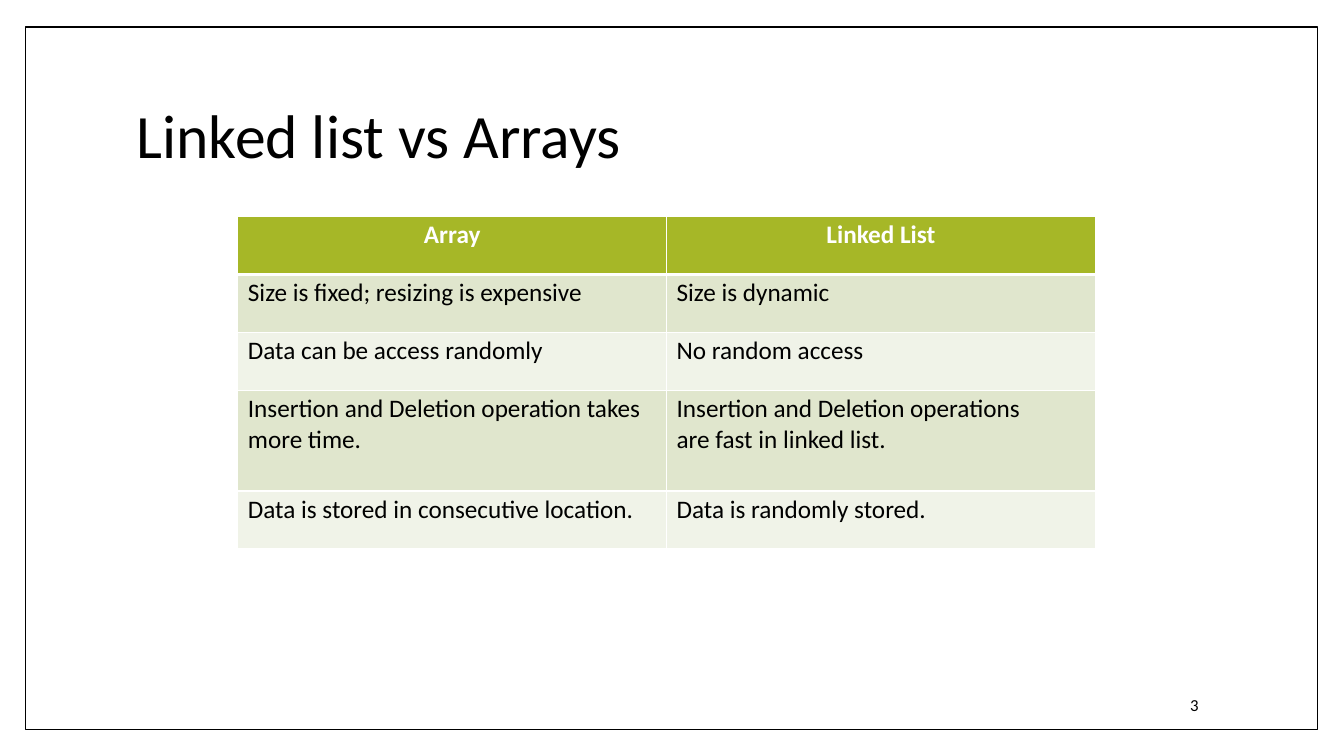
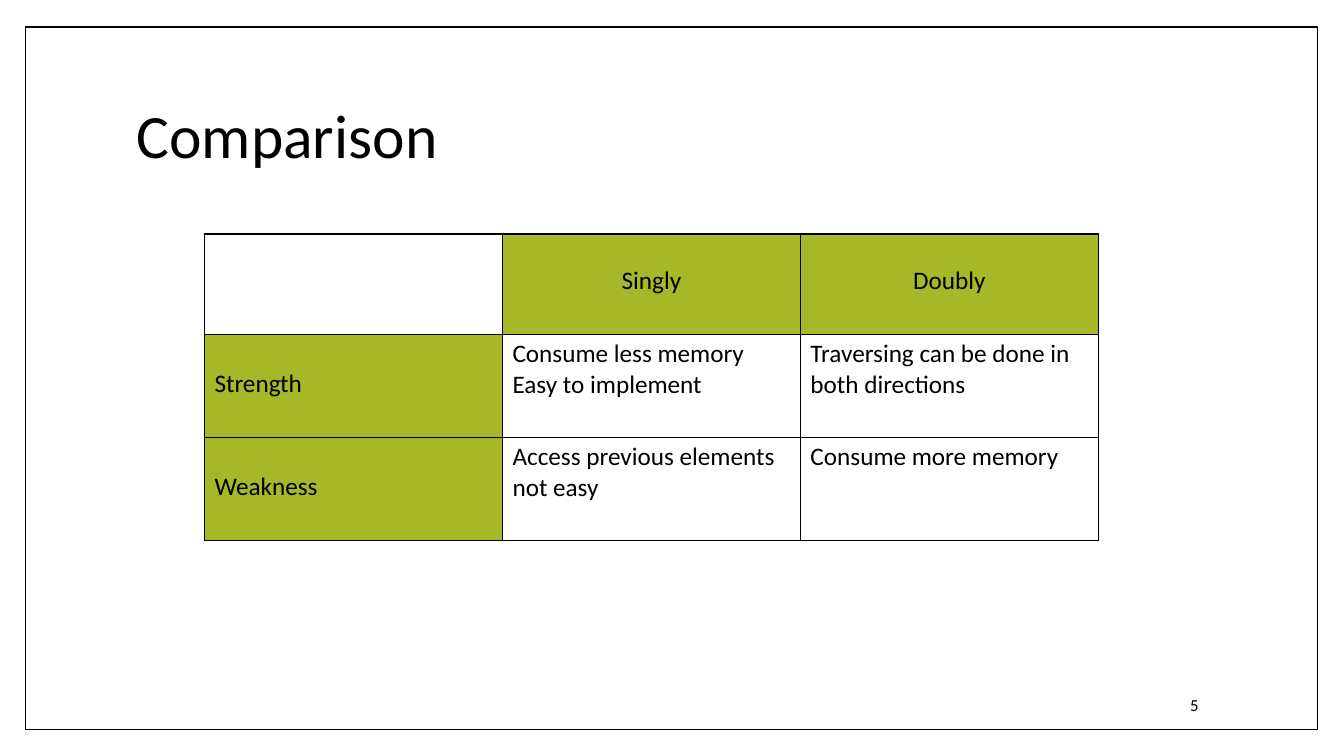
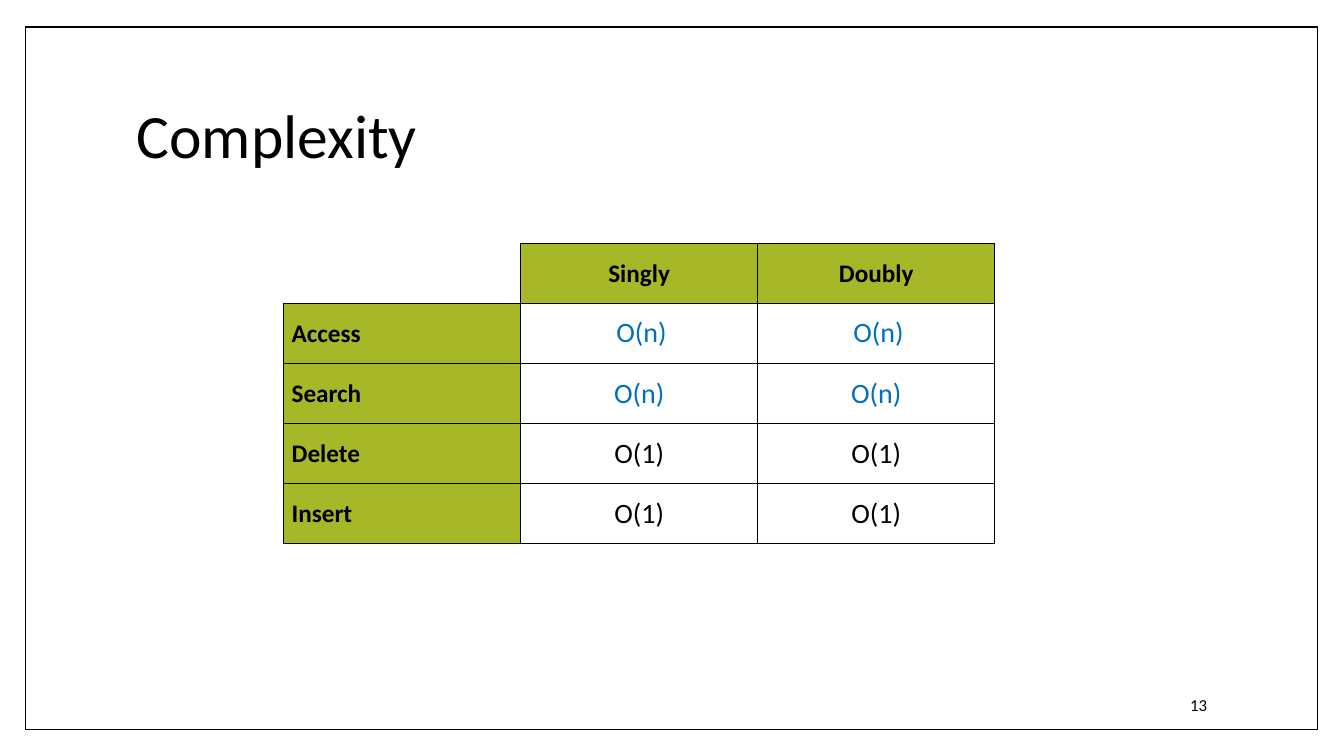
from dataclasses import dataclass, replace
from typing import Callable, Optional

from lxml.etree import SubElement
from pptx import Presentation
from pptx.dml.color import RGBColor
from pptx.enum.shapes import MSO_SHAPE
from pptx.enum.text import MSO_ANCHOR, MSO_AUTO_SIZE, PP_ALIGN
from pptx.oxml.ns import qn
from pptx.util import Inches, Pt


@dataclass(frozen=True)
class Theme:
    font: str = "Calibri"
    black: str = "000000"
    white: str = "FFFFFF"
    green: str = "A6B727"
    band_dark: str = "E0E6CD"
    band_light: str = "F0F3E8"
    blue: str = "006FC0"
    title: float = 44
    big: float = 20
    text: float = 18
    number: float = 12
    number_pitch: float = 12.3
    rule: float = 1
    heavy_rule: float = 3


T = Theme()
W, H = Inches(13.33), Inches(7.5)


def w(percent: float) -> int:
    return round(W * percent / 100)


def h(percent: float) -> int:
    return round(H * percent / 100)


@dataclass(frozen=True)
class Style:
    fill: Optional[str] = None
    color: str = T.black
    size: float = T.text
    bold: bool = False
    align: PP_ALIGN = PP_ALIGN.LEFT
    anchor: MSO_ANCHOR = MSO_ANCHOR.TOP
    left: float = 0.75
    top: float = 0.4
    edge: Optional[str] = T.black
    edge_top: float = T.rule
    edge_bottom: float = T.rule


@dataclass(frozen=True)
class Grid:
    left: float
    top: float
    col: float
    rows: tuple[float, ...]
    texts: tuple[tuple[str, ...], ...]
    look: Callable[[int, int, str], Style]


@dataclass(frozen=True)
class Page:
    title: str
    number: int
    grid: Grid


def versus_look(row: int, col: int, text: str) -> Style:
    if row == 0:
        return Style(T.green, T.white, bold=True, align=PP_ALIGN.CENTER, left=0,
                     edge=T.white, edge_bottom=T.heavy_rule)
    return Style(T.band_dark if row % 2 else T.band_light, edge=T.white,
                 edge_top=T.heavy_rule if row == 1 else T.rule)


def comparison_look(row: int, col: int, text: str) -> Style:
    if row and col or not text:
        return Style(top=0.5)
    label = Style(T.green, top=4.5)
    return label if row else replace(label, align=PP_ALIGN.CENTER, left=0, top=4.2)


def complexity_look(row: int, col: int, text: str) -> Style:
    if not text:
        return Style(edge=None)
    base = Style(anchor=MSO_ANCHOR.MIDDLE, align=PP_ALIGN.CENTER, left=0, top=0)
    if row and col:
        return replace(base, size=T.big, left=0.35 if row == 1 else 0,
                       color=T.blue if text == "O(n)" else T.black)
    label = replace(base, fill=T.green, bold=True)
    return label if row == 0 else replace(label, align=PP_ALIGN.LEFT, left=0.6)


PAGES = (
    Page("Linked list vs Arrays", 3, Grid(
        17.7, 28.67, 31.9, (7.65, 7.65, 7.65, 13.33, 7.65),
        (("Array", "Linked List"),
         ("Size is fixed; resizing is expensive", "Size is dynamic"),
         ("Data can be access randomly", "No random access"),
         ("Insertion and Deletion operation takes\nmore time.",
          "Insertion and Deletion operations\nare fast in linked list."),
         ("Data is stored in consecutive location.", "Data is randomly stored.")),
        versus_look)),
    Page("Comparison", 5, Grid(
        15.22, 30.95, 22.17, (13.3, 13.63, 13.63),
        (("", "Singly", "Doubly"),
         ("Strength", "Consume less memory\nEasy to implement",
          "Traversing can be done in\nboth directions"),
         ("Weakness", "Access previous elements\nnot easy", "Consume more memory")),
        comparison_look)),
    Page("Complexity", 13, Grid(
        21.1, 32.2, 17.64, (7.94,) * 5,
        (("", "Singly", "Doubly"),
         ("Access", "O(n)", "O(n)"),
         ("Search", "O(n)", "O(n)"),
         ("Delete", "O(1)", "O(1)"),
         ("Insert", "O(1)", "O(1)")),
        complexity_look)),
)


def write(tf, text: str, *, size: float, color: str = T.black, bold: bool = False,
          align: PP_ALIGN = PP_ALIGN.LEFT, pitch: Optional[float] = None) -> None:
    for i, line in enumerate(text.split("\n")):
        p = tf.add_paragraph() if i else tf.paragraphs[0]
        p.alignment = align
        if pitch:
            p.line_spacing = Pt(pitch)
        if not line:
            continue
        r = p.add_run()
        r.text = line
        r.font.name, r.font.size, r.font.bold = T.font, Pt(size), bold
        r.font.color.rgb = RGBColor.from_string(color)


def plain_frame(tf) -> None:
    tf.margin_left = tf.margin_top = tf.margin_right = tf.margin_bottom = 0
    tf.word_wrap = True
    tf.auto_size = MSO_AUTO_SIZE.NONE
    tf.vertical_anchor = MSO_ANCHOR.TOP


def set_edges(cell, style: Style) -> None:
    tcPr = cell._tc.get_or_add_tcPr()
    widths = {"L": T.rule, "R": T.rule, "T": style.edge_top, "B": style.edge_bottom}
    for side, width in widths.items():
        ln = SubElement(tcPr, qn(f"a:ln{side}"), w=str(Pt(width)))
        fill = SubElement(ln, qn("a:solidFill"))
        SubElement(fill, qn("a:srgbClr"), val=style.edge)


def draw_cell(cell, text: str, style: Style) -> None:
    cell.margin_left, cell.margin_top = w(style.left), h(style.top)
    cell.margin_right = cell.margin_bottom = 0
    cell.vertical_anchor = style.anchor
    if style.edge:
        set_edges(cell, style)
    if style.fill:
        cell.fill.solid()
        cell.fill.fore_color.rgb = RGBColor.from_string(style.fill)
    else:
        cell.fill.background()
    write(cell.text_frame, text, size=style.size, color=style.color,
          bold=style.bold, align=style.align)


def draw_grid(s, grid: Grid) -> None:
    cols = len(grid.texts[0])
    table = s.shapes.add_table(len(grid.rows), cols, w(grid.left), h(grid.top),
                               w(grid.col * cols), h(sum(grid.rows))).table
    table.first_row = table.horz_banding = False
    for column in table.columns:
        column.width = w(grid.col)
    for i, (height, texts) in enumerate(zip(grid.rows, grid.texts)):
        table.rows[i].height = h(height)
        for j, text in enumerate(texts):
            draw_cell(table.cell(i, j), text, grid.look(i, j, text))


def prepare_layout(layout) -> None:
    title, *unused = layout.placeholders
    title.left, title.top, title.width, title.height = w(10.17), h(12.8), w(80), h(10.1)
    plain_frame(title.text_frame)
    for ph in unused:
        layout.shapes.element.remove(ph.element)


def draw_border(s) -> None:
    sp = s.shapes.add_shape(MSO_SHAPE.RECTANGLE, w(1.88), h(3.57), w(96.17), h(92.93))
    sp.shadow.inherit = False
    sp.fill.background()
    sp.line.color.rgb = RGBColor.from_string(T.black)
    sp.line.width = Pt(T.rule)


def draw_page(s, page: Page) -> None:
    draw_border(s)
    write(s.shapes.title.text_frame, page.title, size=T.title)
    tf = s.shapes.add_textbox(w(88.55), h(92.3), w(3), h(2.5)).text_frame
    plain_frame(tf)
    write(tf, str(page.number), size=T.number, pitch=T.number_pitch)
    draw_grid(s, page.grid)


def main() -> None:
    prs = Presentation()
    prs.slide_width, prs.slide_height = W, H
    layout = prs.slide_layouts[5]
    prepare_layout(layout)
    for page in PAGES:
        draw_page(prs.slides.add_slide(layout), page)
    prs.save("out.pptx")


if __name__ == "__main__":
    main()
